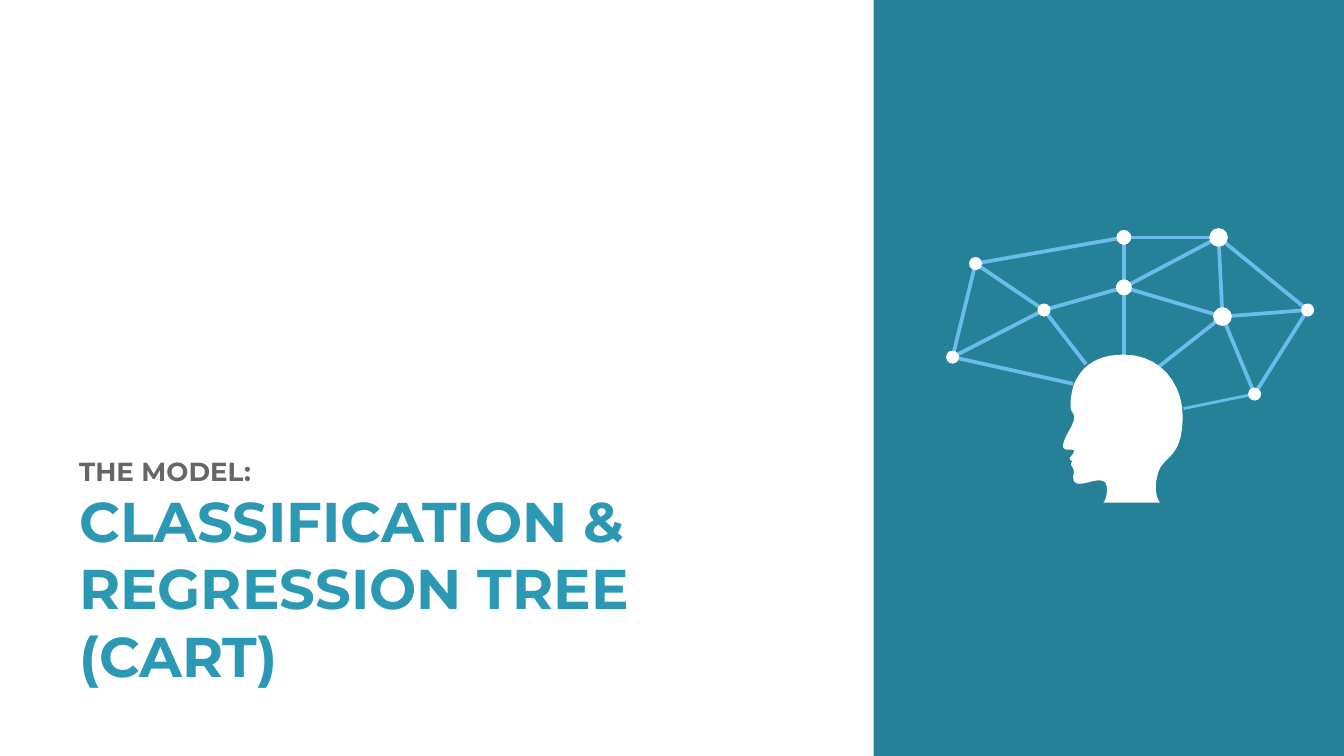
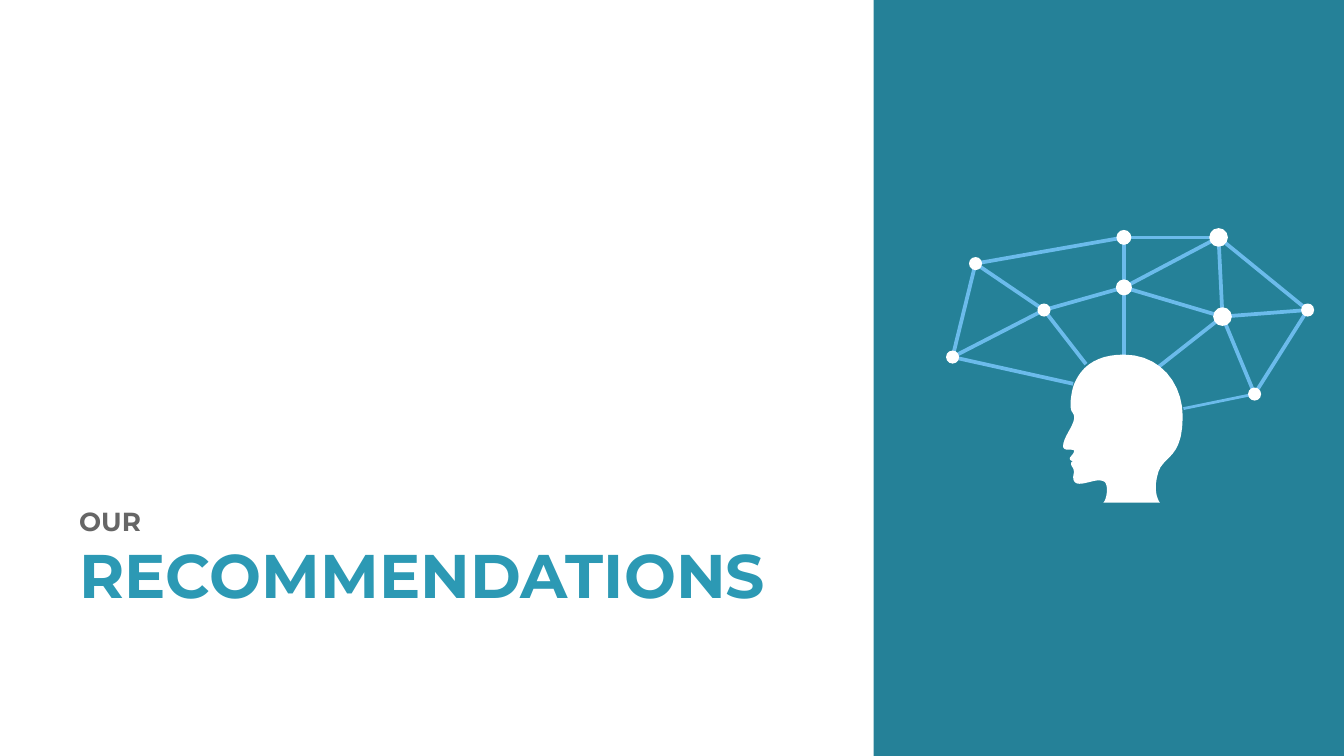
"""Builds two section slides with a shared mind-network panel."""
from lxml.etree import SubElement
from pptx import Presentation
from pptx.dml.color import RGBColor
from pptx.enum.shapes import MSO_CONNECTOR, MSO_SHAPE
from pptx.enum.text import MSO_ANCHOR, MSO_AUTO_SIZE, PP_ALIGN
from pptx.oxml.ns import qn
from pptx.util import Pt

COLORS = {
    "kicker": "666666",
    "heading": "2C99B4",
    "panel": "258198",
    "link": "6BBBEB",
    "white": "FFFFFF",
}

NODES = {
    "center": (602.1, 154, 8.6),
    "right": (654.9, 169.6, 10),
    "top right": (652.8, 127.2, 10),
    "far right": (700.5, 166.1, 7),
    "left": (559.3, 166.1, 7),
    "top": (602.1, 127.2, 8),
    "far left": (510.3, 191.3, 7),
    "lower right": (672.1, 211.1, 7),
    "upper left": (522.6, 141.2, 7),
}

NODE_LINKS = [
    ("lower right", "far right"),
    ("lower right", "right"),
    ("right", "far right"),
    ("right", "top right"),
    ("top right", "far right"),
    ("top", "top right"),
    ("center", "top right"),
    ("left", "center"),
    ("upper left", "top"),
    ("top", "center"),
    ("upper left", "left"),
    ("far left", "left"),
    ("far left", "upper left"),
    ("center", "right"),
]

HEAD_LINKS = [
    ("lower right", (634, 218.9), 1.5),
    ("right", (620.6, 196.6), 2),
    ("center", (602.1, 191.5), 2),
    ("left", (581.8, 195.1), 2),
    ("far left", (574.9, 205.6), 2),
]

HEAD_START = (602, 190)
HEAD_CURVES = [
    ((589, 190), (580.3, 195.1), (576, 204.5)),
    ((573.8, 208.8), (572.4, 219.6), (574.6, 221)),
    ((578.2, 225.4), (569.5, 233.3), (569.5, 239)),
    ((569.5, 241.9), (573.8, 240.5), (575.3, 241.2)),
    ((576, 242.6), (573.1, 244.8), (573.1, 245.5)),
    ((573.1, 247), (574.6, 247), (575.3, 247)),
    ((575.3, 247), (573.8, 247), (573.8, 248.4)),
    ((573.8, 250.6), (575.3, 249.8), (575.3, 253.4)),
    ((574.6, 255.6), (574.6, 259.2), (578.2, 259.2)),
    ((582.5, 259.2), (587.5, 256.3), (591.1, 257.8)),
    ((594, 258.5), (593.3, 267.1), (591.1, 269.3)),
    ((591.1, 269.3), (621.4, 269.3), (621.4, 269.3)),
    ((621.4, 269.3), (617, 264.2), (620.6, 252.7)),
    ((623.5, 244.1), (633.6, 245.5), (633.6, 223.2)),
    ((633.6, 205.2), (621.4, 190), HEAD_START),
]


def curve_points(start, curves, steps=10):
    points = []
    for first, second, end in curves:
        for step in range(1, steps + 1):
            t = step / steps
            weights = ((1 - t) ** 3, 3 * t * (1 - t) ** 2, 3 * t**2 * (1 - t), t**3)
            corners = (start, first, second, end)
            points.append(tuple(
                Pt(sum(weight * corner[axis] for weight, corner in zip(weights, corners)))
                for axis in (0, 1)
            ))
        start = end
    return points


class Deck:
    font_name = "Montserrat"

    def __init__(self):
        self.presentation = Presentation()
        self.presentation.slide_width = Pt(720)
        self.presentation.slide_height = Pt(405)
        self.slide = None

    def color(self, name):
        return RGBColor.from_string(COLORS[name])

    def add_slide(self):
        self.slide = self.presentation.slides.add_slide(self.presentation.slide_layouts[5])

    def style_font(self, font, size, color):
        font.name = self.font_name
        font.bold = True
        font.size = Pt(size)
        font.color.rgb = self.color(color)

    def title(self, top, kicker, heading_lines, size):
        title = self.slide.shapes.title
        title.left, title.top, title.width, title.height = Pt(39.6), Pt(top), Pt(382.3), Pt(75.6)
        frame = title.text_frame
        frame.word_wrap = True
        frame.auto_size = MSO_AUTO_SIZE.NONE
        frame.vertical_anchor = MSO_ANCHOR.TOP
        frame.margin_left = frame.margin_right = Pt(2.8)
        frame.margin_top = frame.margin_bottom = Pt(1.4)
        first, *others = heading_lines
        paragraph = frame.paragraphs[0]
        paragraph.alignment = PP_ALIGN.LEFT
        self.style_font(paragraph.font, 14, "kicker")
        paragraph.add_run().text = kicker
        paragraph.add_line_break()
        heading = paragraph.add_run()
        heading.text = first
        self.style_font(heading.font, size, "heading")
        for line in others:
            paragraph = frame.add_paragraph()
            paragraph.alignment = PP_ALIGN.LEFT
            paragraph.text = line
            self.style_font(paragraph.font, size, "heading")

    def paint(self, shape, color):
        shape.shadow.inherit = False
        shape.fill.solid()
        shape.fill.fore_color.rgb = self.color(color)
        shape.line.fill.background()

    def shape(self, shapes, kind, left, top, width, height, color):
        shape = shapes.add_shape(kind, Pt(left), Pt(top), Pt(width), Pt(height))
        self.paint(shape, color)

    def link(self, shapes, start, end, width=2):
        connector = shapes.add_connector(MSO_CONNECTOR.STRAIGHT, *map(Pt, (*start, *end)))
        connector.line.color.rgb = self.color("link")
        connector.line.width = Pt(width)
        SubElement(connector._element.spPr, qn("a:effectLst"))

    def head(self):
        builder = self.slide.shapes.build_freeform(*map(Pt, HEAD_START))
        builder.add_line_segments(curve_points(HEAD_START, HEAD_CURVES), close=True)
        self.paint(builder.convert_to_shape(), "white")

    def network_panel(self):
        self.shape(self.slide.shapes, MSO_SHAPE.RECTANGLE, 468, 0, 252, 405, "panel")
        links = self.slide.shapes.add_group_shape().shapes
        for start, end in NODE_LINKS:
            self.link(links, NODES[start][:2], NODES[end][:2])
        for node, anchor, width in HEAD_LINKS:
            self.link(links, NODES[node][:2], anchor, width)
        self.head()
        dots = self.slide.shapes.add_group_shape().shapes
        for x, y, size in NODES.values():
            self.shape(dots, MSO_SHAPE.OVAL, x - size / 2, y - size / 2, size, size, "white")

    def section(self, top, kicker, heading_lines, size):
        self.add_slide()
        self.title(top, kicker, heading_lines, size)
        self.network_panel()


def main():
    deck = Deck()
    deck.section(242.6, "THE MODEL:", ["CLASSIFICATION &", "REGRESSION TREE (CART)"], 30)
    deck.section(269.3, "OUR", ["RECOMMENDATIONS"], 33)
    deck.presentation.save("out.pptx")


if __name__ == "__main__":
    main()
